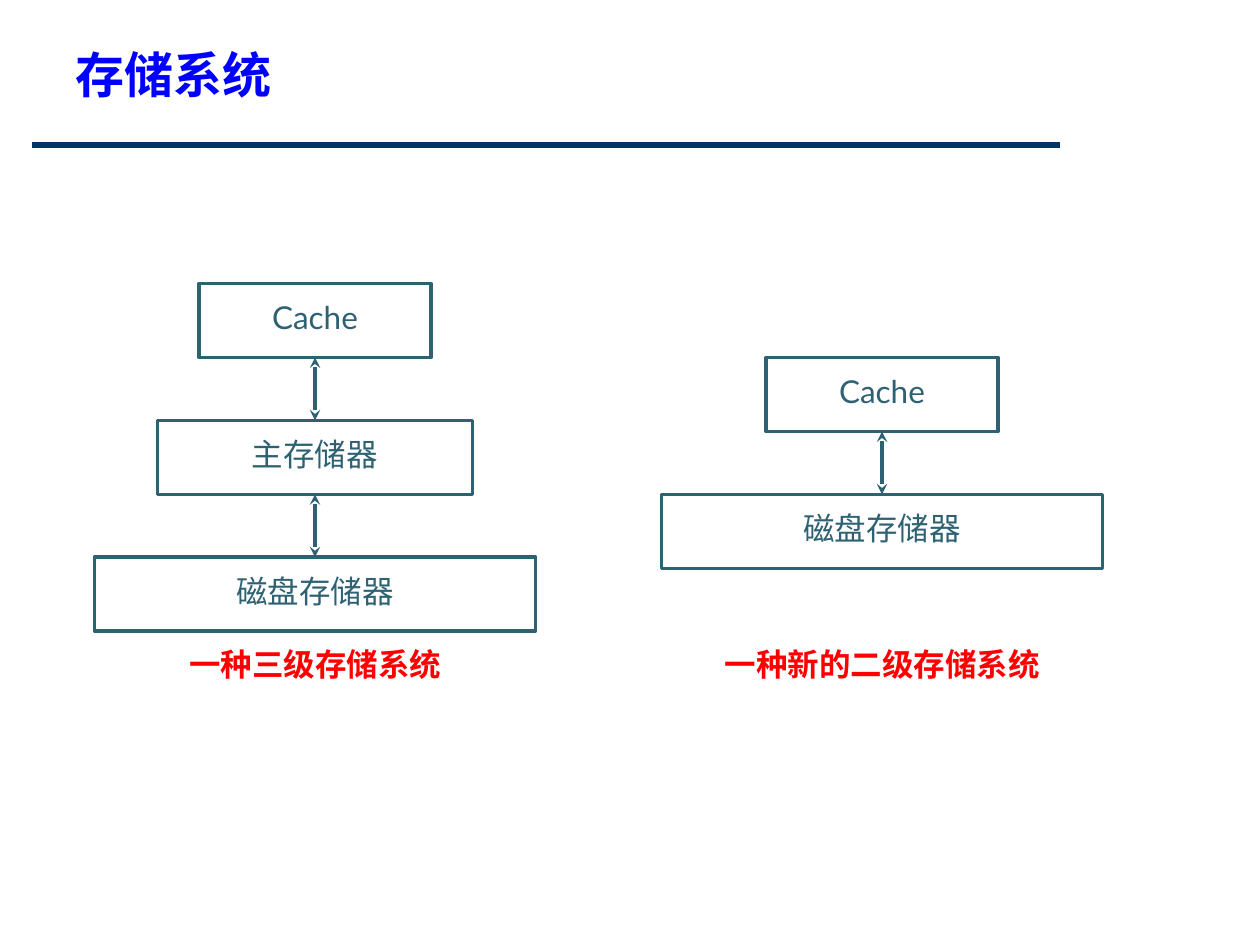
import itertools

import lxml.etree
import pptx
import pptx.dml.color
import pptx.enum.shapes
import pptx.enum.text
import pptx.oxml.ns
import pptx.util

Pt = pptx.util.Pt
ALIGN = pptx.enum.text.PP_ALIGN
ANCHOR = pptx.enum.text.MSO_ANCHOR
COLORS = {"title": "0000FF", "rule": "003366", "memory": "2E6272", "caption": "FF0000"}
BOX_HEIGHT = 42.3
BOX_PITCH = 78.2
HIERARCHIES = [
    {"center": 180, "top": 162, "levels": [("Cache", 132.4), ("主存储器", 180), ("磁盘存储器", 252)],
     "caption": "一种三级存储系统", "caption_width": 264},
    {"center": 504, "top": 204.3, "levels": [("Cache", 132.4), ("磁盘存储器", 252)],
     "caption": "一种新的二级存储系统", "caption_width": 336},
]


class SlideBuilder:
    """Hold the slide style and draw each kind of element."""

    def __init__(self, slide):
        self.slide = slide
        self.frame_format = {
            "margin_left": Pt(6), "margin_right": Pt(6), "margin_top": Pt(3), "margin_bottom": Pt(3),
            "vertical_anchor": ANCHOR.MIDDLE, "word_wrap": False,
        }
        self.para_format = {"alignment": ALIGN.CENTER, "line_spacing": 0.8}
        self.font_format = {"name": "Lato", "size": Pt(18), "bold": False}

    def apply(self, target, values):
        for name, value in values.items():
            setattr(target, name, value)

    def color(self, name):
        return pptx.dml.color.RGBColor.from_string(COLORS[name])

    def label(self, box, text, color, frame=None, para=None, font=None):
        text_frame = box.text_frame
        self.apply(text_frame, self.frame_format | (frame or {}))
        paragraph = text_frame.paragraphs[0]
        self.apply(paragraph, self.para_format | (para or {}))
        span = paragraph.add_run()
        span.text = text
        self.apply(span.font, self.font_format | (font or {}))
        span.font.color.rgb = self.color(color)

    def title(self, text):
        box = self.slide.shapes.title
        self.apply(box, {"left": Pt(36), "top": Pt(21.6), "width": Pt(648), "height": Pt(90)})
        frame = {
            "margin_left": Pt(7.2), "margin_right": Pt(7.2), "margin_top": Pt(3.6), "margin_bottom": Pt(3.6),
            "vertical_anchor": ANCHOR.TOP, "word_wrap": True, "auto_size": pptx.enum.text.MSO_AUTO_SIZE.NONE,
        }
        self.label(box, text, "title", frame, {"alignment": ALIGN.LEFT, "line_spacing": 1.0},
                   {"name": "Times New Roman", "size": Pt(28), "bold": True})

    def line(self, shapes, start, end, color, width):
        connector = shapes.add_connector(
            pptx.enum.shapes.MSO_CONNECTOR.STRAIGHT, *(Pt(value) for value in (*start, *end)))
        connector.line.color.rgb = self.color(color)
        connector.line.width = Pt(width)
        lxml.etree.SubElement(connector._element.spPr, pptx.oxml.ns.qn("a:effectLst"))
        return connector

    def box(self, shapes, text, center, top, width):
        box = shapes.add_shape(pptx.enum.shapes.MSO_SHAPE.RECTANGLE,
                               Pt(center - width / 2), Pt(top), Pt(width), Pt(BOX_HEIGHT))
        box.shadow.inherit = False
        box.fill.background()
        box.line.color.rgb = self.color("memory")
        box.line.width = Pt(2)
        self.label(box, text, "memory")
        return box

    def arrow(self, shapes, upper, lower):
        connector = self.line(shapes, (0, 0), (0, 0), "memory", 2)
        connector.begin_connect(upper, 2)
        connector.end_connect(lower, 0)
        outline = connector._element.spPr.find(pptx.oxml.ns.qn("a:ln"))
        for end in ("a:headEnd", "a:tailEnd"):
            lxml.etree.SubElement(outline, pptx.oxml.ns.qn(end), type="stealth")

    def caption(self, text, center, width):
        box = self.slide.shapes.add_textbox(Pt(center - width / 2), Pt(360.7), Pt(width), Pt(41.8))
        self.label(box, text, "caption", font={"bold": True})

    def hierarchy(self, center, top, levels, caption, caption_width):
        shapes = self.slide.shapes.add_group_shape().shapes
        boxes = [self.box(shapes, text, center, top + index * BOX_PITCH, width)
                 for index, (text, width) in enumerate(levels)]
        for upper, lower in itertools.pairwise(boxes):
            self.arrow(shapes, upper, lower)
        self.caption(caption, center, caption_width)


def main():
    deck = pptx.Presentation()
    deck.slide_width, deck.slide_height = Pt(720), Pt(540)
    page = SlideBuilder(deck.slides.add_slide(deck.slide_layouts[5]))
    page.line(page.slide.shapes, (18, 82.8), (605.5, 82.8), "rule", 3)
    page.title("存储系统")
    for hierarchy in HIERARCHIES:
        page.hierarchy(**hierarchy)
    deck.save("out.pptx")


if __name__ == "__main__":
    main()
